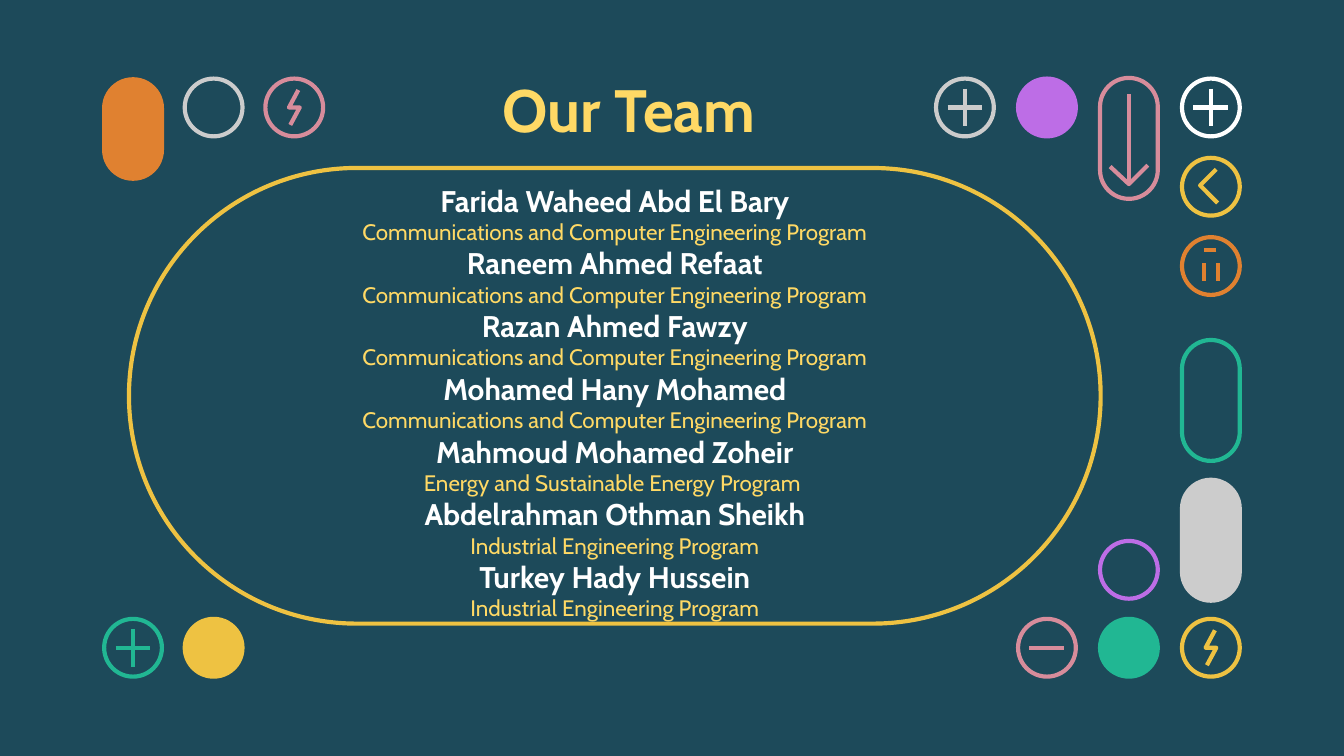
from dataclasses import dataclass
from typing import Optional

from lxml.etree import SubElement
from pptx import Presentation
from pptx.dml.color import RGBColor
from pptx.enum.shapes import MSO_CONNECTOR, MSO_SHAPE
from pptx.enum.text import MSO_ANCHOR, MSO_AUTO_SIZE, PP_ALIGN
from pptx.oxml.ns import qn
from pptx.util import Inches, Pt

NAVY = RGBColor(0x1D, 0x4A, 0x5A)
GREEN = RGBColor(0x21, 0xB7, 0x93)
YELLOW = RGBColor(0xEE, 0xC2, 0x42)
PURPLE = RGBColor(0xBD, 0x6D, 0xE6)
PINK = RGBColor(0xD7, 0x8C, 0x9B)
ORANGE = RGBColor(0xE0, 0x81, 0x30)
GRAY = RGBColor(0xCC, 0xCC, 0xCC)
WHITE = RGBColor(0xFF, 0xFF, 0xFF)
GOLD = RGBColor(0xFF, 0xD9, 0x65)

FONT = "Cabin"
LINE_WIDTH = Pt(2.25)
DIAMETER = 0.43
LEFT_COLUMNS = [0.99 + 0.6 * index for index in range(3)]
RIGHT_COLUMNS = [7.18 + 0.61 * index for index in range(4)]
TOP_ROW, BOTTOM_ROW = 0.8, 4.82

Stroke = tuple[tuple[float, float], ...]
HORIZONTAL: Stroke = ((-0.13, 0), (0.13, 0))
VERTICAL: Stroke = ((0, -0.14), (0, 0.14))
PLUS = (VERTICAL, HORIZONTAL)
MINUS = (HORIZONTAL,)
BOLT = (((0.03, -0.13), (-0.04, 0), (0.04, 0), (-0.03, 0.13)),)
CHEVRON = (((0.04, -0.13), (-0.08, -0.01), (0.05, 0.12)),)
BIN = (
    ((0.05, -0.02), (0.05, 0.11)),
    ((-0.05, -0.02), (-0.05, 0.11)),
    ((0.04, -0.12), (-0.05, -0.12)),
)
DOWN_ARROW = (
    ((-0.14, 0.21), (0, 0.34), (0.14, 0.2)),
    ((0, 0.34), (0, -0.33)),
)


@dataclass(frozen=True)
class Badge:
    """A circle or upright capsule, placed by its centre, with an optional symbol."""

    x: float
    y: float
    color: RGBColor
    filled: bool = False
    height: float = DIAMETER
    symbol: tuple[Stroke, ...] = ()


@dataclass(frozen=True)
class Member:
    """A team member and the program they attend."""

    name: str
    program: str


BADGES = [
    Badge(LEFT_COLUMNS[0], 0.96, ORANGE, True, 0.74),
    Badge(LEFT_COLUMNS[1], TOP_ROW, GRAY),
    Badge(LEFT_COLUMNS[2], TOP_ROW, PINK, symbol=BOLT),
    Badge(LEFT_COLUMNS[0], BOTTOM_ROW, GREEN, symbol=PLUS),
    Badge(LEFT_COLUMNS[1], BOTTOM_ROW, YELLOW, True),
    Badge(RIGHT_COLUMNS[0], TOP_ROW, GRAY, symbol=PLUS),
    Badge(RIGHT_COLUMNS[1], TOP_ROW, PURPLE, True),
    Badge(RIGHT_COLUMNS[2], 1.03, PINK, height=0.9, symbol=DOWN_ARROW),
    Badge(RIGHT_COLUMNS[3], TOP_ROW, WHITE, symbol=PLUS),
    Badge(RIGHT_COLUMNS[3], 1.39, YELLOW, symbol=CHEVRON),
    Badge(RIGHT_COLUMNS[3], 1.98, ORANGE, symbol=BIN),
    Badge(RIGHT_COLUMNS[3], 2.98, GREEN, height=0.9),
    Badge(RIGHT_COLUMNS[3], 4.02, GRAY, True, 0.9),
    Badge(RIGHT_COLUMNS[2], 4.24, PURPLE),
    Badge(RIGHT_COLUMNS[1], BOTTOM_ROW, PINK, symbol=MINUS),
    Badge(RIGHT_COLUMNS[2], BOTTOM_ROW, GREEN, True),
    Badge(RIGHT_COLUMNS[3], BOTTOM_ROW, YELLOW, symbol=BOLT),
]

COMMUNICATIONS = "Communications and Computer Engineering Program"
INDUSTRIAL = "Industrial Engineering Program"
MEMBERS = [
    Member("Farida Waheed Abd El Bary", COMMUNICATIONS),
    Member("Raneem Ahmed Refaat", COMMUNICATIONS),
    Member("Razan Ahmed Fawzy", COMMUNICATIONS),
    Member("Mohamed Hany Mohamed", COMMUNICATIONS),
    Member("Mahmoud Mohamed Zoheir", "Energy and Sustainable Energy Program "),
    Member("Abdelrahman Othman Sheikh", INDUSTRIAL),
    Member("Turkey Hady Hussein", INDUSTRIAL),
]


def style_shape(shape, color: RGBColor, fill: Optional[RGBColor] = None) -> None:
    """Give a shape its outline and its fill, if any."""
    shape.shadow.inherit = False
    shape.line.color.rgb = color
    shape.line.width = LINE_WIDTH
    if fill is None:
        shape.fill.background()
    else:
        shape.fill.solid()
        shape.fill.fore_color.rgb = fill


def add_stroke(slide, points: list[tuple[int, int]], color: RGBColor) -> None:
    """Draw a straight connector, or an open outline through several points."""
    if len(points) == 2:
        connector = slide.shapes.add_connector(MSO_CONNECTOR.STRAIGHT, *points[0], *points[1])
        connector.line.color.rgb = color
        connector.line.width = LINE_WIDTH
        SubElement(connector._element.spPr, qn("a:effectLst"))
        return
    builder = slide.shapes.build_freeform(*points[0])
    builder.add_line_segments(points[1:], close=False)
    style_shape(builder.convert_to_shape(), color)


def add_badge(slide, badge: Badge) -> None:
    """Draw a badge and the strokes of its symbol."""
    is_circle = badge.height == DIAMETER
    shape = slide.shapes.add_shape(
        MSO_SHAPE.OVAL if is_circle else MSO_SHAPE.ROUNDED_RECTANGLE,
        Inches(badge.x - DIAMETER / 2),
        Inches(badge.y - badge.height / 2),
        Inches(DIAMETER),
        Inches(badge.height),
    )
    if not is_circle:
        shape.adjustments[0] = 0.5
    style_shape(shape, badge.color, badge.color if badge.filled else None)
    for stroke in badge.symbol:
        points = [(Inches(badge.x + x), Inches(badge.y + y)) for x, y in stroke]
        add_stroke(slide, points, badge.color)


def add_run(paragraph, text: str, size: int, color: RGBColor, bold: bool) -> None:
    """Add a centred run of text."""
    paragraph.alignment = PP_ALIGN.CENTER
    run = paragraph.add_run()
    run.text = text
    run.font.name = FONT
    run.font.size = Pt(size)
    run.font.bold = bold
    run.font.color.rgb = color


def add_title(slide, text: str) -> None:
    """Place and format the slide title."""
    title = slide.shapes.title
    title.left, title.top = Inches(3.07), Inches(0.5)
    title.width, title.height = Inches(3.22), Inches(0.62)
    frame = title.text_frame
    frame.auto_size = MSO_AUTO_SIZE.NONE
    frame.vertical_anchor = MSO_ANCHOR.MIDDLE
    frame.margin_left = frame.margin_right = frame.margin_top = frame.margin_bottom = 0
    add_run(frame.paragraphs[0], text, 32, GOLD, True)


def add_members(slide, members: list[Member]) -> None:
    """List the members, each name above its program."""
    box = slide.shapes.add_textbox(Inches(1.03), Inches(2.03), Inches(7.09), Inches(1.92))
    frame = box.text_frame
    frame.word_wrap = True
    frame.vertical_anchor = MSO_ANCHOR.MIDDLE
    frame.margin_left = frame.margin_right = Inches(0.1)
    frame.margin_top = frame.margin_bottom = Inches(0.1)
    for index, member in enumerate(members):
        paragraph = frame.add_paragraph() if index else frame.paragraphs[0]
        add_run(paragraph, member.name, 16, WHITE, True)
        add_run(frame.add_paragraph(), member.program, 12, GOLD, False)


def main() -> None:
    """Build and save the team slide."""
    presentation = Presentation()
    presentation.slide_width = Inches(10)
    presentation.slide_height = Inches(10 * 9 / 16)
    slide = presentation.slides.add_slide(presentation.slide_layouts[5])
    slide.background.fill.solid()
    slide.background.fill.fore_color.rgb = NAVY
    add_title(slide, "Our Team")
    panel = slide.shapes.add_shape(
        MSO_SHAPE.ROUNDED_RECTANGLE, Inches(0.96), Inches(1.25), Inches(7.23), Inches(3.39)
    )
    panel.adjustments[0] = 0.5
    style_shape(panel, YELLOW)
    for badge in BADGES:
        add_badge(slide, badge)
    add_members(slide, MEMBERS)
    presentation.save("out.pptx")


if __name__ == "__main__":
    main()
